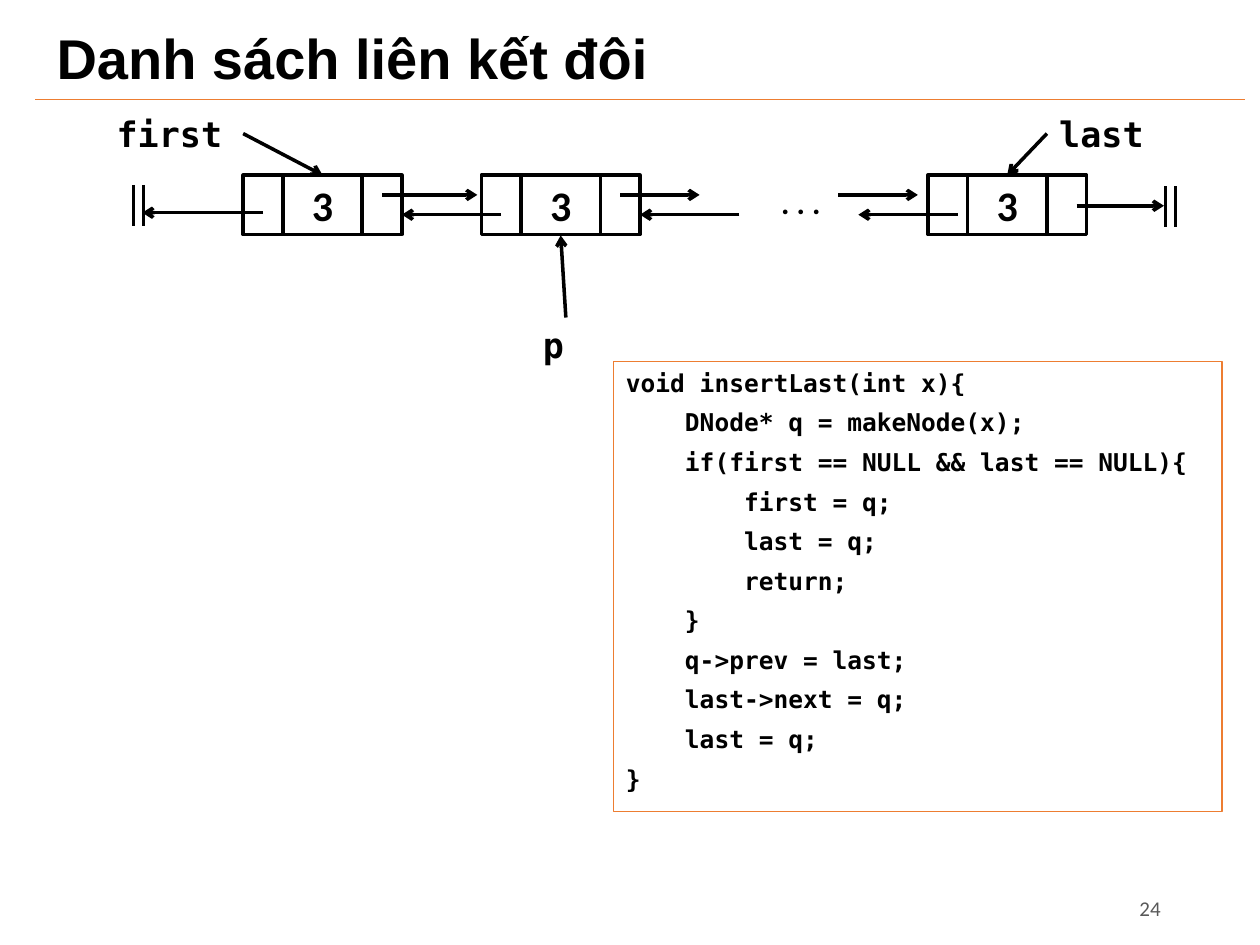
from dataclasses import dataclass

from lxml.etree import SubElement
from pptx import Presentation
from pptx.dml.color import RGBColor
from pptx.enum.shapes import MSO_CONNECTOR as Connector, MSO_SHAPE as Preset
from pptx.enum.text import MSO_ANCHOR as Anchor, PP_ALIGN as Align
from pptx.oxml.ns import qn
from pptx.util import Inches, Pt

BLACK, ACCENT, GREY = "000000", "ED7D31", "595959"
SANS, HEAD, MONO = "Calibri", "Arial", "DejaVu Sans Mono"

CODE = """void insertLast(int x){
    DNode* q = makeNode(x);
    if(first == NULL && last == NULL){
        first = q;
        last = q;
        return;
    }
    q->prev = last;
    last->next = q;
    last = q;
}"""


@dataclass
class Grid:
    """Columns and rows counted from an origin, in inches."""
    left: float
    top: float
    col: float
    row: float

    def point(self, c, r):
        return Inches(self.left + c * self.col), Inches(self.top + r * self.row)

    def box(self, c, r, w, h):
        return *self.point(c, r), Inches(w * self.col), Inches(h * self.row)


def colour(code):
    return RGBColor.from_string(code)


def write(shape, text, size, font, ink=BLACK, bold=True,
          align=Align.LEFT, anchor=Anchor.TOP, before=0, spacing=None):
    frame = shape.text_frame
    frame.word_wrap = True
    frame.vertical_anchor = anchor
    for i, words in enumerate(text.split("\n")):
        para = frame.add_paragraph() if i else frame.paragraphs[0]
        para.alignment = align
        if i:
            para.space_before = Pt(before)
        if spacing:
            para.line_spacing = spacing
        run = para.add_run()
        run.text = words
        run.font.size, run.font.name, run.font.bold = Pt(size), font, bold
        run.font.color.rgb = colour(ink)


def label(slide, box, text, size, font, **style):
    write(slide.shapes.add_textbox(*box), text, size, font, **style)


def frame_box(slide, box, ink=BLACK, width=2):
    shape = slide.shapes.add_shape(Preset.RECTANGLE, *box)
    shape.shadow.inherit = False
    shape.fill.background()
    shape.line.color.rgb = colour(ink)
    shape.line.width = Pt(width)
    return shape


def stroke(slide, start, end, ink=BLACK, width=2, arrow=False):
    link = slide.shapes.add_connector(Connector.STRAIGHT, *start, *end)
    link.line.color.rgb = colour(ink)
    link.line.width = Pt(width)
    properties = link._element.spPr
    if arrow:
        SubElement(properties.find(qn("a:ln")), qn("a:tailEnd"), type="arrow")
    SubElement(properties, qn("a:effectLst"))


def title_bar(slide, page):
    label(slide, page.box(3.5, 1.3, 94.5, 7.1), "Danh sách liên kết đôi", 32, HEAD,
          anchor=Anchor.MIDDLE, spacing=0.9)
    stroke(slide, page.point(2.8, 7.9), page.point(98.8, 7.9), ACCENT, 0.5)


def node(slide, grid, column, value):
    """A previous cell, a double-width value and a next cell."""
    for offset, width, text in ((0, 1, ""), (1, 2, value), (3, 1, "")):
        cell = frame_box(slide, grid.box(column + offset, 0, width, 3))
        if text:
            write(cell, text, 24, SANS, align=Align.CENTER, anchor=Anchor.MIDDLE)


def null_mark(slide, grid, column, row):
    for c in (column, column + 0.25):
        stroke(slide, grid.point(c, row), grid.point(c, row + 2.05))


def linked_list(slide, grid):
    first, middle, last = 0, 6, 17.25
    for column in (first, middle, last):
        node(slide, grid, column, "3")

    # Links between neighbours: row 1 goes forward, row 2 goes back
    links = [(first + 3.5, 5.9, 1), (middle + 3.5, 11.5, 1), (15, 17, 1),
             (middle + 0.5, 4, 2), (12.5, 10, 2), (last + 0.75, 15.5, 2),
             # Links to the null marks
             (first + 0.5, -2.54, 1.9), (last + 3.75, 23.2, 1.55)]
    for start, end, row in links:
        stroke(slide, grid.point(start, row), grid.point(end, row), arrow=True)
    null_mark(slide, grid, -2.76, 0.5)
    null_mark(slide, grid, 23.24, 0.57)
    label(slide, grid.box(13.24, 0.06, 3, 2.55), ". . .", 18, SANS)

    # Named pointers: label column, row and width, then arrow start and end
    pointers = [("first", -3.5, -3.5, 3.5, (0, -2.1), (first + 2, 0)),
                ("last", 20.25, -3.5, 3.5, (20.25, -2.1), (last + 2, 0)),
                ("p", 7.24, 7.2, 1.75, (8.13, 7.2), (middle + 2, 3.05))]
    for name, column, row, width, start, end in pointers:
        label(slide, grid.box(column, row, width, 2.8), name, 20, MONO)
        stroke(slide, grid.point(*start), grid.point(*end), arrow=True)


def code_panel(slide, box):
    write(frame_box(slide, box, ACCENT, 0.75), CODE, 14, MONO, before=5.8)


def page_number(slide, box):
    label(slide, box, "24", 12, SANS, ink=GREY, bold=False,
          align=Align.RIGHT, anchor=Anchor.MIDDLE)


def main():
    deck = Presentation()
    deck.slide_width, deck.slide_height = Inches(10), Inches(7.5)
    slide = deck.slides.add_slide(deck.slide_layouts[6])
    page = Grid(0, 0, 0.1, 0.1)
    title_bar(slide, page)
    linked_list(slide, Grid(left=1.93, top=1.39, col=0.315, row=0.157))
    code_panel(slide, page.box(48.7, 28.7, 48.3, 35.7))
    page_number(slide, page.box(80.6, 70.1, 12.5, 4))
    deck.save("out.pptx")


if __name__ == "__main__":
    main()
